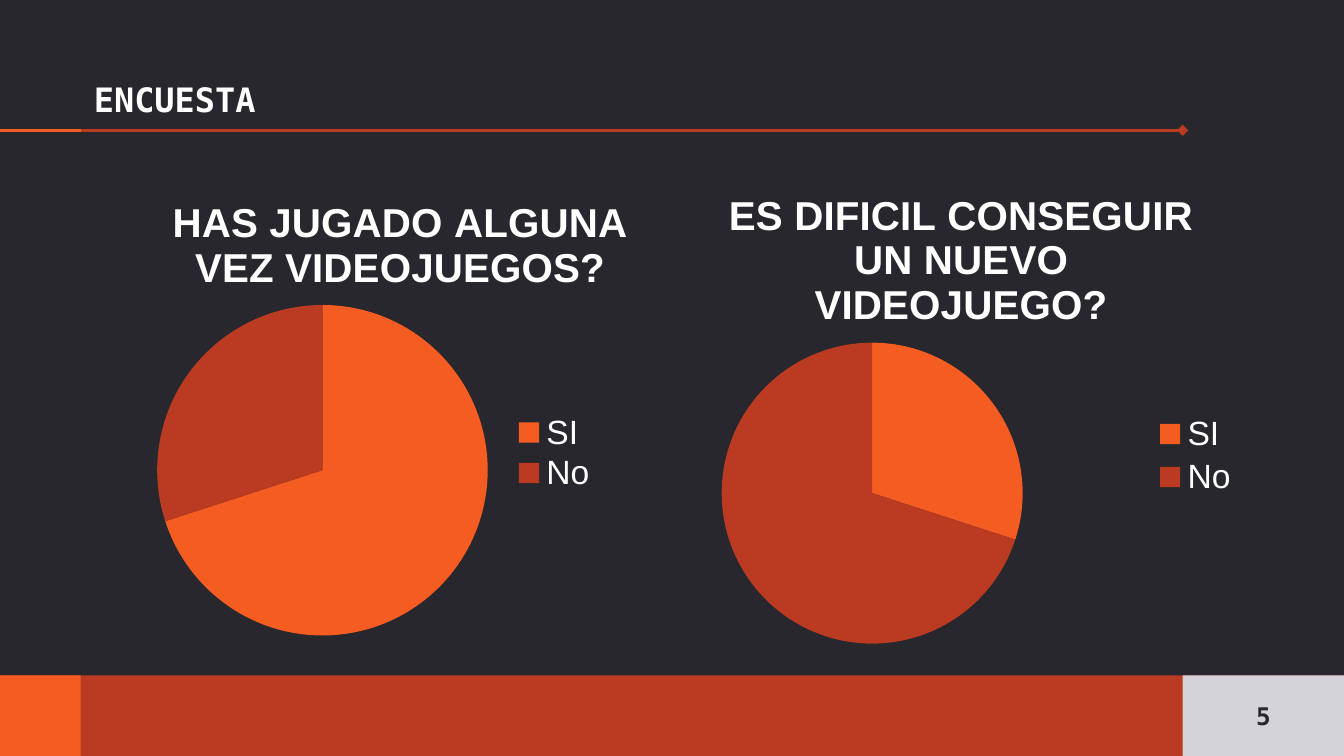
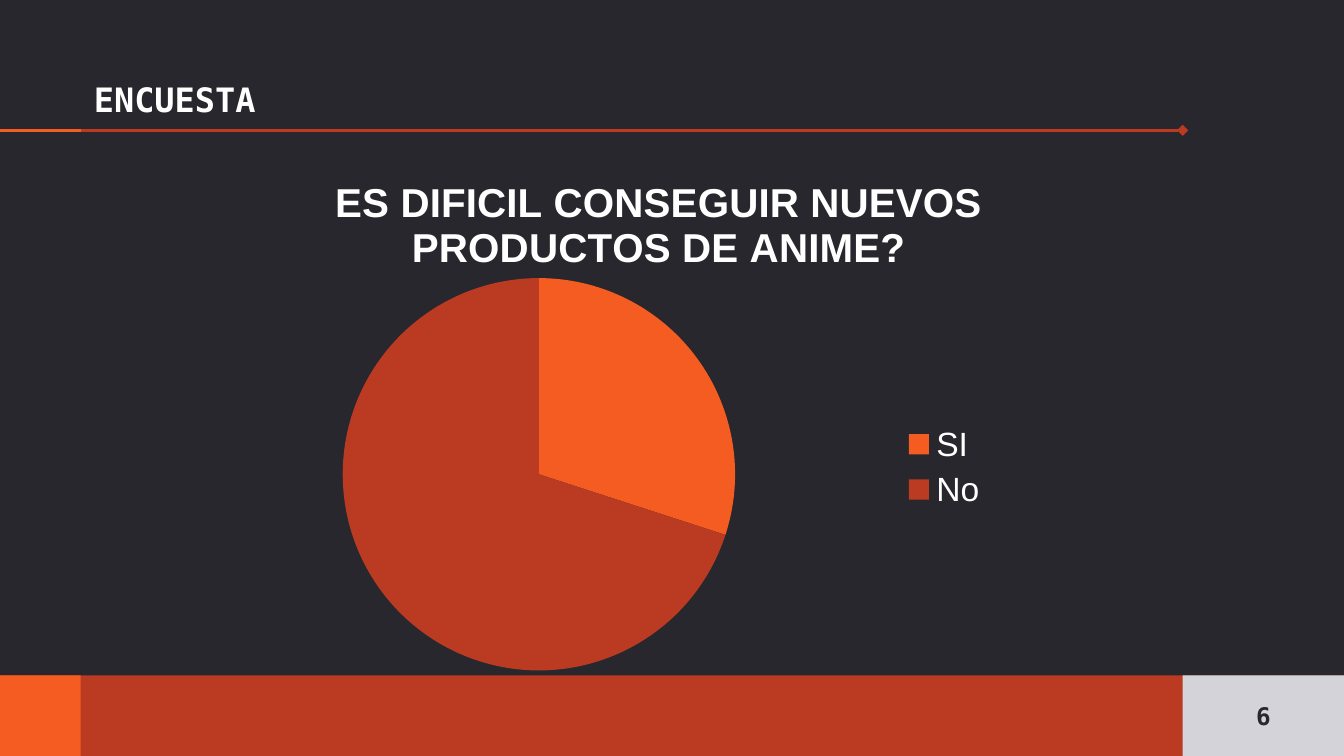
from dataclasses import dataclass

from lxml import etree
from pptx import Presentation
from pptx.chart.data import CategoryChartData
from pptx.dml.color import RGBColor
from pptx.enum.chart import XL_CHART_TYPE, XL_LEGEND_POSITION
from pptx.enum.shapes import MSO_CONNECTOR, MSO_SHAPE
from pptx.enum.text import MSO_ANCHOR, PP_ALIGN
from pptx.oxml.ns import qn
from pptx.slide import Slide
from pptx.text.text import TextFrame
from pptx.util import Inches, Pt

PIE = XL_CHART_TYPE.PIE
LEGEND_RIGHT = XL_LEGEND_POSITION.RIGHT
STRAIGHT = MSO_CONNECTOR.STRAIGHT
RECTANGLE = MSO_SHAPE.RECTANGLE
MIDDLE, BOTTOM = MSO_ANCHOR.MIDDLE, MSO_ANCHOR.BOTTOM
LEFT, CENTER = PP_ALIGN.LEFT, PP_ALIGN.CENTER

COLORS = {
    "background": "27272D",
    "orange": "F55C21",
    "rust": "BA3B21",
    "gray": "D4D3D9",
    "white": "FFFFFF",
}
HEADING_FONT, CHART_FONT = "DejaVu Sans Mono", "Arial"
WIDTH = 10
HEIGHT = WIDTH * 9 / 16
BAND_HEIGHT = 0.6
BAND_TOP = HEIGHT - BAND_HEIGHT
MARGIN = 0.6
NUMBER_LEFT = 8.8
RULE_Y = 0.97
ANSWERS = {"SI": "orange", "No": "rust"}


@dataclass(frozen=True)
class Box:
    left: float
    top: float
    width: float
    height: float

    def inches(self) -> list[Inches]:
        return [Inches(v) for v in (self.left, self.top, self.width, self.height)]


@dataclass(frozen=True)
class Survey:
    """One question; all places are in inches on the slide."""
    question: str
    series: str
    percents: tuple[int, int]
    frame: Box
    title_at: tuple[float, float]
    pie_center: tuple[float, float]
    radius: float
    legend: Box


PLAYED = "HAS JUGADO ALGUNA VEZ VIDEOJUEGOS?"
NEW_GAME = "ES DIFICIL CONSEGUIR UN NUEVO VIDEOJUEGO?"
ANIME = "ES DIFICIL CONSEGUIR NUEVOS PRODUCTOS DE ANIME?"
SURVEY_SLIDES = {
    5: [
        Survey(PLAYED, PLAYED, (70, 30), Box(0.28, 1.16, 5, 3.71),
               (1.23, 1.41), (2.4, 3.5), 1.23, Box(3.75, 3.06, 0.75, 0.62)),
        Survey(NEW_GAME, NEW_GAME, (30, 70), Box(4.46, 1.1, 4.83, 3.84),
               (5.37, 1.35), (6.49, 3.67), 1.12, Box(8.52, 3.05, 0.75, 0.68)),
    ],
    6: [
        Survey(ANIME, "Series 1", (30, 70), Box(1.29, 1.03, 6.2, 4.1),
               (2.44, 1.26), (4.01, 3.53), 1.46, Box(6.65, 3.11, 0.75, 0.73)),
    ],
}


def rgb(color: str) -> RGBColor:
    return RGBColor.from_string(COLORS[color])


def write(frame: TextFrame, text: str, *, size: float, color: str = "white",
          font: str = HEADING_FONT, align: PP_ALIGN = LEFT) -> None:
    paragraph = frame.paragraphs[0]
    paragraph.alignment = align
    run = paragraph.add_run()
    run.text = text
    run.font.name, run.font.size, run.font.bold = font, Pt(size), True
    run.font.color.rgb = rgb(color)


def prepare(frame: TextFrame, anchor: MSO_ANCHOR) -> TextFrame:
    """Set the wrapping, anchor and margins that slide text shares."""
    frame.word_wrap = True
    frame.vertical_anchor = anchor
    frame.margin_left = frame.margin_right = Inches(0.1)
    frame.margin_top = frame.margin_bottom = Inches(0.1)
    return frame


def add_band(slide: Slide, left: float, width: float, color: str) -> TextFrame:
    band = slide.shapes.add_shape(
        RECTANGLE, *Box(left, BAND_TOP, width, BAND_HEIGHT).inches())
    band.shadow.inherit = False
    band.fill.solid()
    band.fill.fore_color.rgb = rgb(color)
    band.line.fill.background()
    return prepare(band.text_frame, MIDDLE)


def add_rule(slide: Slide, end: float, color: str, diamond: bool = False) -> None:
    rule = slide.shapes.add_connector(
        STRAIGHT, Inches(0), Inches(RULE_Y), Inches(end), Inches(RULE_Y))
    rule.line.color.rgb = rgb(color)
    rule.line.width = Pt(1.5)
    if diamond:
        outline = rule.element.spPr.find(qn("a:ln"))
        etree.SubElement(outline, qn("a:tailEnd"), type="diamond")
    etree.SubElement(rule.element.spPr, qn("a:effectLst"))


def place(part: etree._Element, index: int, frame: Box, left: float, top: float,
          width: float = 0, height: float = 0, inner: bool = False) -> None:
    """Give a chart part a manual layout, as fractions of the chart frame."""
    for old in part.findall(qn("c:layout")):
        part.remove(old)
    layout = etree.Element(qn("c:layout"))
    manual = etree.SubElement(layout, qn("c:manualLayout"))
    values = {"xMode": "edge", "yMode": "edge",
              "x": (left - frame.left) / frame.width,
              "y": (top - frame.top) / frame.height}
    if inner:
        values = {"layoutTarget": "inner"} | values
    if width:
        values |= {"w": width / frame.width, "h": height / frame.height}
    for tag, value in values.items():
        etree.SubElement(manual, qn(f"c:{tag}"), val=str(value))
    part.insert(index, layout)


def add_survey(slide: Slide, survey: Survey) -> None:
    data = CategoryChartData()
    data.categories = list(ANSWERS)
    data.add_series(survey.series, survey.percents)
    frame = survey.frame
    chart = slide.shapes.add_chart(PIE, *frame.inches(), data).chart
    chart.font.name, chart.font.size = CHART_FONT, Pt(18)

    chart.has_title = True
    write(chart.chart_title.text_frame, survey.question, size=21.6,
          font=CHART_FONT, align=CENTER)

    chart.has_legend = True
    chart.legend.position = LEGEND_RIGHT
    chart.legend.include_in_layout = False
    chart.legend.font.name, chart.legend.font.size = CHART_FONT, Pt(18)
    chart.legend.font.color.rgb = rgb("white")

    plot = chart.plots[0]
    plot.vary_by_categories = True
    for index, color in enumerate(ANSWERS.values()):
        fill = plot.series[0].points[index].format.fill
        fill.solid()
        fill.fore_color.rgb = rgb(color)

    title, plot_area, legend = (
        chart.element.find(f"{qn('c:chart')}/{qn(tag)}")
        for tag in ("c:title", "c:plotArea", "c:legend"))
    place(title, 1, frame, *survey.title_at)
    center_x, center_y = survey.pie_center
    diameter = 2 * survey.radius
    place(plot_area, 0, frame, center_x - survey.radius, center_y - survey.radius,
          diameter, diameter, inner=True)
    key = survey.legend
    place(legend, 1, frame, key.left, key.top, key.width, key.height)


def add_survey_slide(deck: Presentation, number: int, surveys: list[Survey]) -> None:
    slide = deck.slides.add_slide(deck.slide_layouts[6])
    slide.background.fill.solid()
    slide.background.fill.fore_color.rgb = rgb("background")

    add_rule(slide, NUMBER_LEFT, "rust", diamond=True)
    add_band(slide, 0, WIDTH, "rust")
    add_band(slide, 0, MARGIN, "orange")
    add_rule(slide, MARGIN, "orange")

    heading = slide.shapes.add_textbox(
        *Box(MARGIN, 0.39, NUMBER_LEFT - MARGIN, 0.6).inches())
    write(prepare(heading.text_frame, BOTTOM), "ENCUESTA", size=18)
    page_number = add_band(slide, NUMBER_LEFT, WIDTH - NUMBER_LEFT, "gray")
    write(page_number, str(number), size=13, color="background", align=CENTER)

    for survey in surveys:
        add_survey(slide, survey)


def main() -> None:
    deck = Presentation()
    deck.slide_width, deck.slide_height = Inches(WIDTH), Inches(HEIGHT)
    for number, surveys in SURVEY_SLIDES.items():
        add_survey_slide(deck, number, surveys)
    deck.save("out.pptx")


if __name__ == "__main__":
    main()
